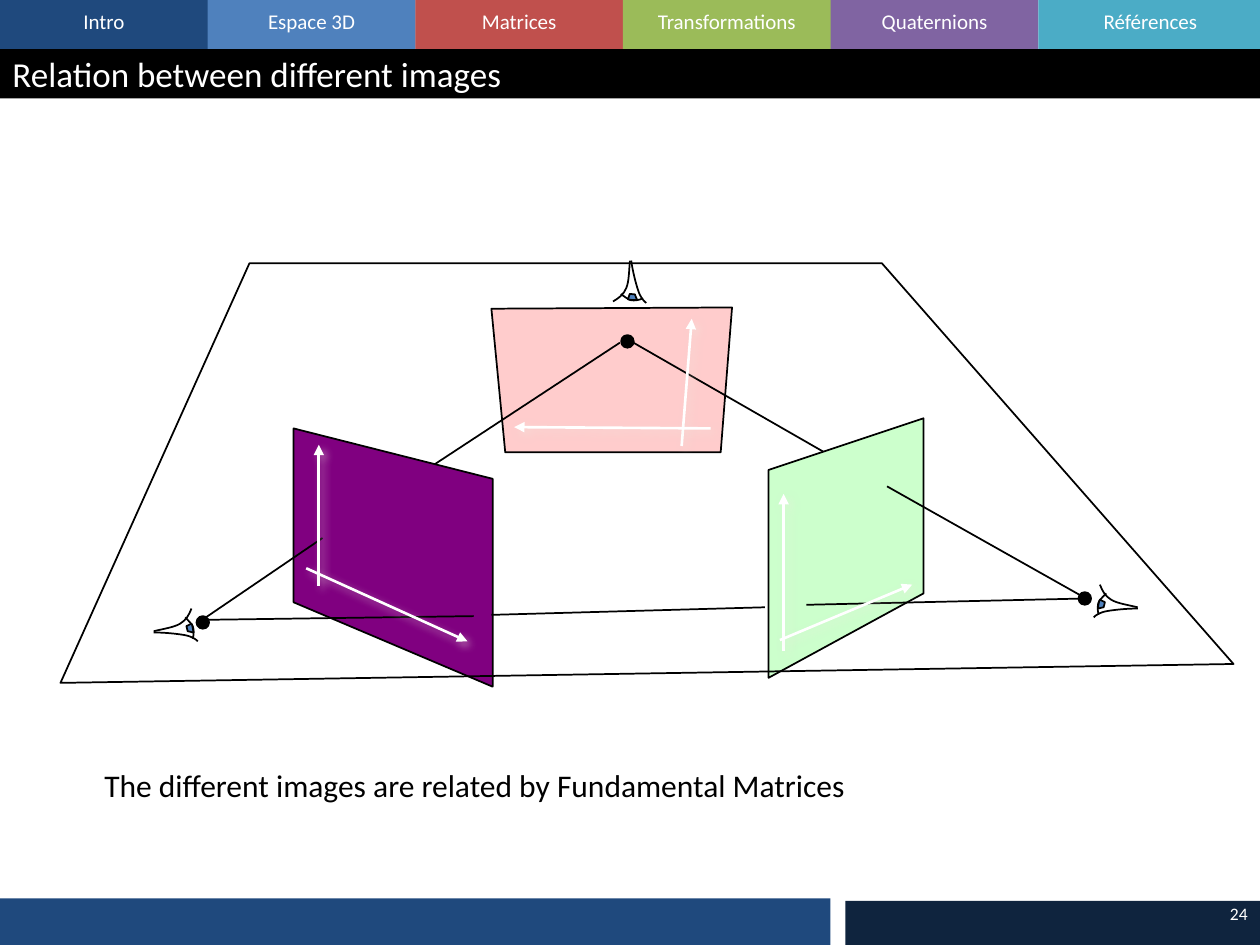
from math import cos, radians, sin

from lxml import etree
from pptx import Presentation
from pptx.dml.color import RGBColor
from pptx.enum.shapes import MSO_CONNECTOR as Connector, MSO_SHAPE as Shape
from pptx.enum.text import MSO_ANCHOR as Anchor, PP_ALIGN as Align
from pptx.oxml.ns import qn
from pptx.util import Inches, Pt

COLORS = {
    "navy": "1F497D", "blue": "4F81BD", "red": "C0504D", "green": "9BBB59",
    "purple": "8064A2", "aqua": "4BACC6", "dark": "0F243E",
    "black": "000000", "white": "FFFFFF", "shadow": "EEECE1",
    "top_view": "FF0000", "left_view": "800080", "right_view": "CCFFCC",
}

# Eye seen from the side: apex at the origin, looking along +x.
# Each outline is a start point followed by cubic Bezier triples.
EYELIDS = [
    [(0, 0), (.08, -.02), (.16, -.03), (.21, -.06),
     (.26, -.09), (.28, -.13), (.30, -.18)],
    [(0, .01), (.09, .01), (.18, .02), (.24, .03),
     (.30, .04), (.33, .06), (.35, .08)],
    [(.25, -.11), (.27, -.09), (.30, -.06), (.31, -.04),
     (.32, -.01), (.32, .02), (.31, .06)],
]
PUPIL = [(.30, -.06), (.29, -.06), (.27, -.04), (.26, -.04),
         (.26, -.03), (.27, -.01), (.27, 0),
         (.28, 0), (.31, .01), (.31, .01),
         (.32, .01), (.31, -.02), (.31, -.03),
         (.31, -.04), (.30, -.06), (.30, -.06)]


def curve_segments(shape):
    """Turn each three line segments of a freeform into one cubic Bezier."""
    lines = list(shape._element.iter(qn("a:lnTo")))
    for i in range(0, len(lines), 3):
        curve = etree.Element(qn("a:cubicBezTo"))
        lines[i].addprevious(curve)
        for line in lines[i:i + 3]:
            curve.append(line[0])
            line.getparent().remove(line)


class SlideBuilder:
    font = "Calibri"

    def __init__(self, slide):
        self.slide = slide

    @staticmethod
    def color(name):
        return RGBColor.from_string(COLORS[name])

    def paint(self, shape, fill=None, line=None, opacity=None):
        shape.shadow.inherit = False
        if fill:
            shape.fill.solid()
            shape.fill.fore_color.rgb = self.color(fill)
            if opacity:
                rgb = shape.fill._xPr.find(".//" + qn("a:srgbClr"))
                etree.SubElement(rgb, qn("a:alpha"), val=str(opacity * 1000))
        else:
            shape.fill.background()
        if line:
            shape.line.color.rgb = self.color(line)
            shape.line.width = Pt(1)
        else:
            shape.line.fill.background()

    def bar(self, left, top, width, height, fill):
        shape = self.slide.shapes.add_shape(
            Shape.RECTANGLE, *map(Inches, (left, top, width, height)))
        self.paint(shape, fill)

    def dot(self, left, top, size=0.1):
        shape = self.slide.shapes.add_shape(
            Shape.OVAL, *map(Inches, (left, top, size, size)))
        self.paint(shape, "black", "black")

    def text(self, words, left, top, width, height, size, color="white",
             align=Align.LEFT, anchor=Anchor.TOP):
        box = self.slide.shapes.add_textbox(*map(Inches, (left, top, width, height)))
        frame = box.text_frame
        frame.word_wrap = True
        frame.vertical_anchor = anchor
        frame.text = words
        paragraph = frame.paragraphs[0]
        paragraph.alignment = align
        font = paragraph.runs[0].font
        font.name, font.size = self.font, Pt(size)
        font.color.rgb = self.color(color)

    def outline(self, points, fill=None, opacity=None, close=True, shapes=None):
        points = [(Inches(x), Inches(y)) for x, y in points]
        builder = (shapes or self.slide.shapes).build_freeform(*points[0])
        builder.add_line_segments(points[1:], close=close)
        shape = builder.convert_to_shape()
        self.paint(shape, fill, "black", opacity)
        return shape

    def eye(self, apex, mirror=1, angle=0):
        """Draw an eye at its apex; mirror=-1 flips it, then angle turns it clockwise."""
        turn = radians(angle)

        def place(controls):
            return [(apex[0] + mirror * x * cos(turn) - y * sin(turn),
                     apex[1] + mirror * x * sin(turn) + y * cos(turn))
                    for x, y in controls]

        shapes = self.slide.shapes.add_group_shape().shapes
        for lid in EYELIDS:
            curve_segments(self.outline(place(lid), close=False, shapes=shapes))
        curve_segments(self.outline(place(PUPIL), "blue", shapes=shapes))

    def line(self, start, end, color="black", width=1):
        connector = self.slide.shapes.add_connector(
            Connector.STRAIGHT, *map(Inches, (*start, *end)))
        connector.line.color.rgb = self.color(color)
        connector.line.width = Pt(width)
        effects = etree.SubElement(connector._element.spPr, qn("a:effectLst"))
        return connector, effects

    def axis(self, start, end, arrow="a:tailEnd"):
        """Draw a white arrow with a soft shadow."""
        connector, effects = self.line(start, end, "white", 1.5)
        etree.SubElement(connector.line._get_or_add_ln(), qn(arrow), type="triangle")
        shadow = etree.SubElement(
            effects, qn("a:outerShdw"), blurRad=str(Pt(5)), dist=str(Pt(3)),
            dir=str(45 * 60000), algn="ctr", rotWithShape="0")
        rgb = etree.SubElement(shadow, qn("a:srgbClr"), val=COLORS["shadow"])
        etree.SubElement(rgb, qn("a:alpha"), val="50000")


def main():
    deck = Presentation()
    deck.slide_width, deck.slide_height = Inches(10), Inches(7.5)
    page = SlideBuilder(deck.slides.add_slide(deck.slide_layouts[6]))

    tabs = [("Intro", "navy", 1.65), ("Espace 3D", "blue", 1.65),
            ("Matrices", "red", 1.65), ("Transformations", "green", 1.65),
            ("Quaternions", "purple", 1.65), ("Références", "aqua", 1.78)]
    tab_step = 8.24 / 5
    for i, (label, fill, width) in enumerate(tabs):
        page.bar(i * tab_step, 0, width, 0.39, fill)
    page.bar(0, 0.39, 10.04, 0.39, "black")
    for i, (label, fill, width) in enumerate(tabs):
        page.text(label, i * tab_step, 0.02, width, 0.3, 12, align=Align.CENTER)

    page.bar(-0.01, 7.13, 6.6, 0.38, "navy")
    page.bar(6.71, 7.15, 3.31, 0.38, "dark")
    page.text("24", 7.67, 7, 2.33, 0.5, 10, align=Align.RIGHT, anchor=Anchor.MIDDLE)
    page.text("Relation between different images", 0, 0.39, 10.02, 0.39, 20,
              anchor=Anchor.MIDDLE)

    # Top view and its epipolar lines
    page.outline([(3.9, 2.45), (5.81, 2.44), (5.72, 3.59), (4.01, 3.59)], "top_view", 20)
    page.dot(4.93, 2.66)
    page.line((3, 3.98), (4.92, 2.72))
    page.line((6.7, 3.68), (5.01, 2.71))

    # Side views
    page.eye((9.03, 4.82), mirror=-1)
    page.eye((1.22, 5.01))
    page.outline([(2.33, 3.4), (2.33, 4.78), (3.91, 5.45), (3.91, 3.8)], "left_view")
    page.outline([(7.33, 3.32), (7.33, 4.71), (6.1, 5.38), (6.1, 3.73)], "right_view")
    page.line((1.59, 4.93), (2.56, 4.27))
    page.line((8.62, 4.75), (7.04, 3.86))
    page.dot(1.56, 4.89)
    page.dot(8.56, 4.7)
    for start, end in [((1.6, 4.92), (3.76, 4.89)), ((3.9, 4.88), (6.07, 4.82)),
                       ((6.4, 4.8), (8.61, 4.75))]:
        page.line(start, end)

    # Ground plane
    page.outline([(0.48, 5.42), (9.79, 5.27), (7, 2.09), (1.98, 2.09)])
    page.eye((5, 2.07), mirror=-1, angle=261.7)

    for start, end in [((2.53, 4.65), (2.53, 3.53)), ((2.43, 4.51), (3.71, 5.09)),
                       ((6.22, 5.17), (6.22, 3.92)), ((6.19, 5.08), (7.24, 4.64)),
                       ((5.41, 3.54), (5.49, 2.53))]:
        page.axis(start, end)
    page.axis((4.08, 3.39), (5.64, 3.4), arrow="a:headEnd")

    page.text("The different images are related by Fundamental Matrices",
              0.73, 6.03, 8.77, 0.5, 18, "black")
    deck.save("out.pptx")


if __name__ == "__main__":
    main()
